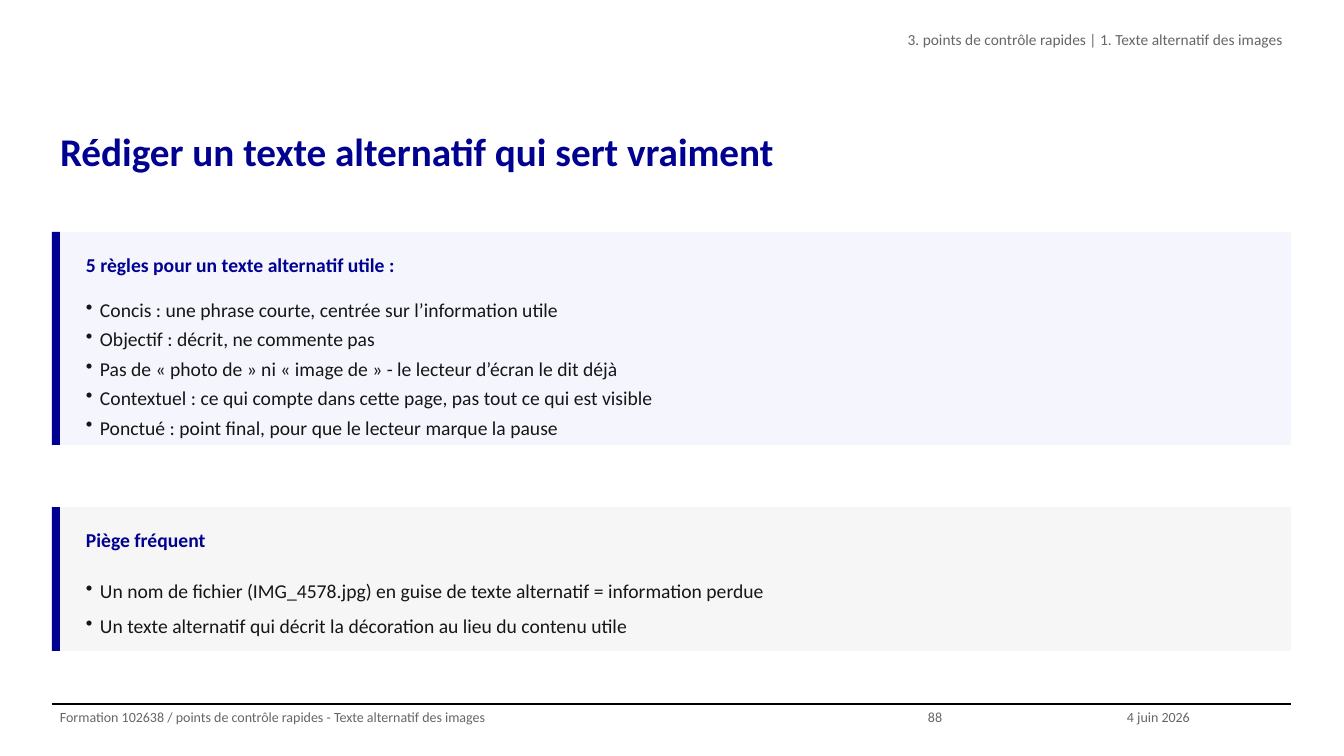
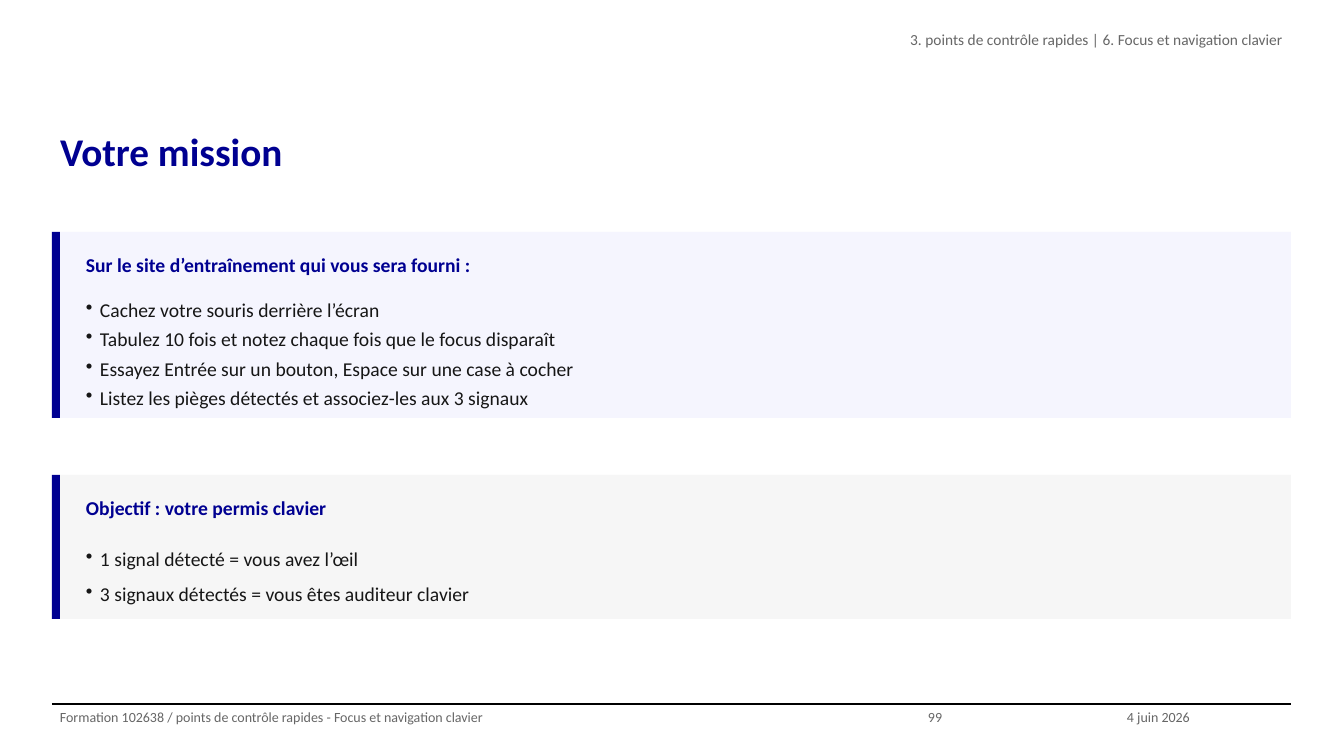
from dataclasses import dataclass

from lxml import etree
from pptx import Presentation
from pptx.dml.color import RGBColor
from pptx.enum.shapes import MSO_CONNECTOR, MSO_SHAPE
from pptx.enum.text import MSO_ANCHOR, PP_ALIGN
from pptx.oxml.ns import qn
from pptx.util import Pt

RECT = MSO_SHAPE.RECTANGLE
LINE = MSO_CONNECTOR.STRAIGHT
TOP = MSO_ANCHOR.TOP
LEFT, RIGHT = PP_ALIGN.LEFT, PP_ALIGN.RIGHT
SCALE = 914400 / 100.8


def px(n):
    return round(n * SCALE)


@dataclass(frozen=True)
class Theme:
    font: str = "Calibri"
    navy: str = "000091"
    ink: str = "161616"
    mute: str = "666666"
    rule: str = "000000"
    blue: str = "F5F5FE"
    grey: str = "F6F6F6"
    title: int = 28
    body: int = 14
    head: int = 11
    foot: int = 10


class Deck:
    EDGE, WIDE = 52, 1239
    BAR, PAD = 8, 18
    FOOT = 704

    def __init__(self, theme):
        self.theme = theme
        self.prs = Presentation()
        self.prs.slide_width, self.prs.slide_height = px(1344), px(756)
        self.slide = None

    def page(self, title, topic, number, date):
        """Start a slide with its title, header and footer."""
        t = self.theme
        self.slide = self.prs.slides.add_slide(self.prs.slide_layouts[6])
        self.rule(self.FOOT)
        self.text([title], (self.EDGE, 116, self.WIDE, 106), t.title, t.navy, bold=True)
        part, name = topic
        self.text([f"3. {part} | {name}"], (487, 26, 804, 52), t.head, t.mute, align=RIGHT)
        label = f"Formation 102638 / {part} - {name.split('. ')[1]}"
        for word, x, wide in ((label, self.EDGE, 868), (number, 920, 199), (date, 1119, 172)):
            self.text([word], (x, self.FOOT, wide, 52), t.foot, t.mute)

    def rule(self, y):
        line = self.slide.shapes.add_connector(
            LINE, px(self.EDGE), px(y), px(self.EDGE + self.WIDE), px(y))
        line.line.color.rgb = RGBColor.from_string(self.theme.rule)
        line.line.width = Pt(0.8)
        etree.SubElement(line._element.spPr, qn("a:effectLst"))

    def rect(self, box, color):
        shape = self.slide.shapes.add_shape(RECT, *map(px, box))
        shape.shadow.inherit = False
        shape.fill.solid()
        shape.fill.fore_color.rgb = RGBColor.from_string(color)
        shape.line.fill.background()

    def text(self, lines, box, size, color, bold=False, align=LEFT,
             space=1.25, inset=0, bullet=False):
        frame = self.slide.shapes.add_textbox(*map(px, box)).text_frame
        form = {"word_wrap": True, "vertical_anchor": TOP,
                "margin_left": px(8), "margin_right": px(8),
                "margin_top": px(inset), "margin_bottom": px(inset)}
        for key, val in form.items():
            setattr(frame, key, val)
        for i, line in enumerate(lines):
            para = frame.add_paragraph() if i else frame.paragraphs[0]
            para.alignment, para.line_spacing = align, space
            if bullet:
                self.bullet(para)
            run = para.add_run()
            run.text = line
            style = {"name": self.theme.font, "size": Pt(size), "bold": bold}
            for key, val in style.items():
                setattr(run.font, key, val)
            run.font.color.rgb = RGBColor.from_string(color)

    def bullet(self, para):
        props = para._p.get_or_add_pPr()
        props.set("marL", str(px(14)))
        props.set("indent", str(-px(14)))
        etree.SubElement(props, qn("a:buChar")).set("char", "•")

    def panel(self, top, high, color, head, lines, space=1.25):
        """Draw a tinted box with a side bar, a heading and bullets."""
        t = self.theme
        x = self.EDGE + self.BAR
        self.rect((x, top, self.WIDE - self.BAR, high), color)
        self.rect((self.EDGE, top, self.BAR, high), t.navy)
        x, wide = x + self.PAD, self.WIDE - self.BAR - self.PAD - 10
        self.text([head], (x, top + 10, wide, 35), t.body, t.navy, bold=True, inset=5)
        self.text(lines, (x, top + 55, wide, high - 65), t.body, t.ink,
                  space=space, inset=5, bullet=True)


PART = "points de contrôle rapides"
DATE = "4 juin 2026"


def main():
    theme = Theme()
    deck = Deck(theme)

    deck.page("Rédiger un texte alternatif qui sert vraiment",
              (PART, "1. Texte alternatif des images"), "88", DATE)
    deck.panel(232, 213, theme.blue, "5 règles pour un texte alternatif utile :", [
        "Concis : une phrase courte, centrée sur l’information utile",
        "Objectif : décrit, ne commente pas",
        "Pas de « photo de » ni « image de » - le lecteur d’écran le dit déjà",
        "Contextuel : ce qui compte dans cette page, pas tout ce qui est visible",
        "Ponctué : point final, pour que le lecteur marque la pause",
    ])
    deck.panel(507, 144, theme.grey, "Piège fréquent", [
        "Un nom de fichier (IMG_4578.jpg) en guise de texte alternatif = information perdue",
        "Un texte alternatif qui décrit la décoration au lieu du contenu utile",
    ], space=1.5)

    deck.page("Votre mission", (PART, "6. Focus et navigation clavier"), "99", DATE)
    deck.panel(232, 186, theme.blue, "Sur le site d’entraînement qui vous sera fourni :", [
        "Cachez votre souris derrière l’écran",
        "Tabulez 10 fois et notez chaque fois que le focus disparaît",
        "Essayez Entrée sur un bouton, Espace sur une case à cocher",
        "Listez les pièges détectés et associez-les aux 3 signaux",
    ])
    deck.panel(475, 144, theme.grey, "Objectif : votre permis clavier", [
        "1 signal détecté = vous avez l’œil",
        "3 signaux détectés = vous êtes auditeur clavier",
    ], space=1.5)

    deck.prs.save("out.pptx")


if __name__ == "__main__":
    main()
